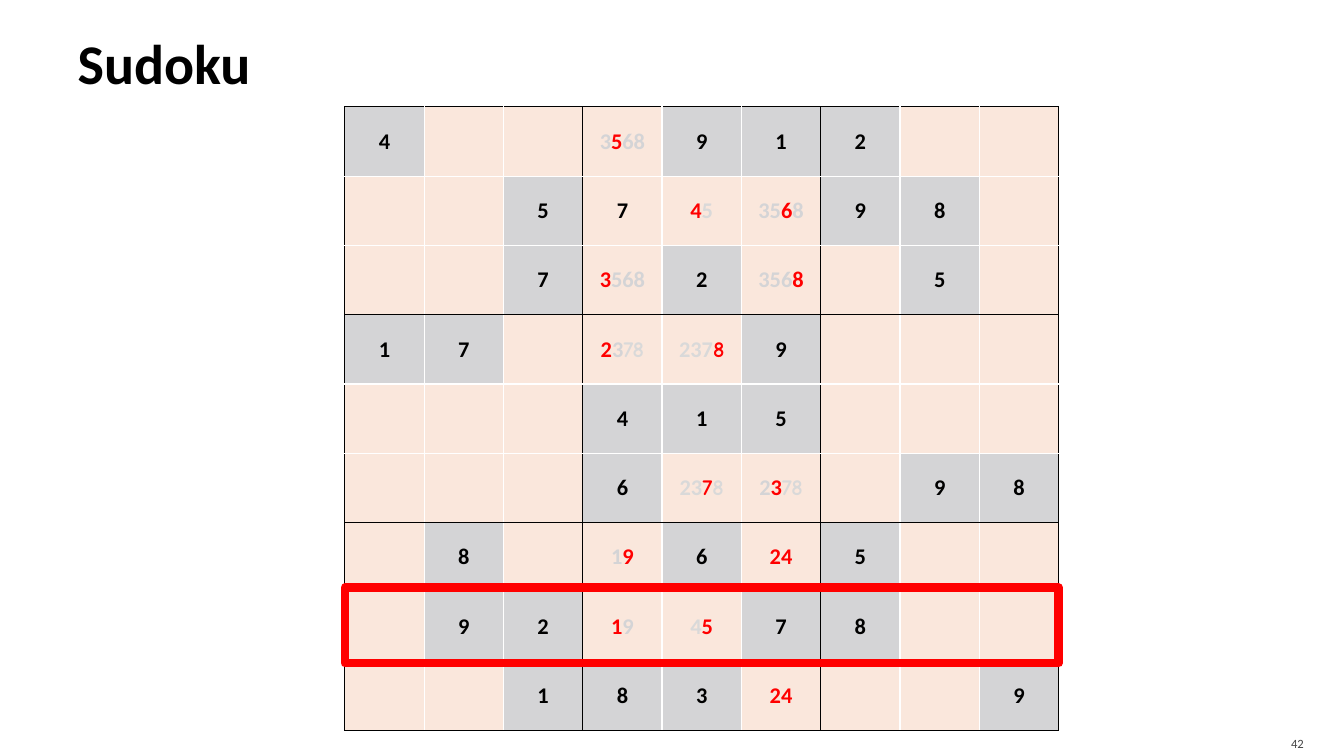
from lxml import etree
from pptx import Presentation
from pptx.dml.color import RGBColor
from pptx.enum.shapes import MSO_SHAPE
from pptx.enum.text import MSO_ANCHOR, PP_ALIGN
from pptx.oxml.ns import qn
from pptx.util import Inches, Pt

MIDDLE = MSO_ANCHOR.MIDDLE
LEFT, CENTER, RIGHT = PP_ALIGN.LEFT, PP_ALIGN.CENTER, PP_ALIGN.RIGHT

BLACK = RGBColor(0x00, 0x00, 0x00)
WHITE = RGBColor(0xFF, 0xFF, 0xFF)
RED = RGBColor(0xFF, 0x00, 0x00)
GREY = RGBColor(0xD4, 0xD4, 0xD6)
PALE_GREY = RGBColor(0xD9, 0xD9, 0xD9)
PEACH = RGBColor(0xFA, 0xE7, 0xDC)
DARK_GREY = RGBColor(0x45, 0x45, 0x45)

# Digit styles: letter in the grid -> font and colour
STYLES = {
    "k": ("Calibri", BLACK),
    "r": ("Calibri", RED),
    "g": ("Calibri", GREY),
    "p": ("Calibri", PALE_GREY),
    "R": ("Comic Neue", RED),
    "P": ("Comic Neue", PALE_GREY),
}
# One line per row; a dot is an empty cell, a plus joins styled runs
GRID = [
    "k4 . . g3+r5+g68 k9 k1 k2 . .",
    ". . k5 k7 r4+p5 g35+r6+g8 k9 k8 .",
    ". . k7 r3+g568 k2 g356+r8 . k5 .",
    "k1 k7 . r2+g3+P78 p237+R8 k9 . . .",
    ". . . k4 k1 k5 . . .",
    ". . . k6 p23+R7+P8 g2+r3+P78 . k9 k8",
    ". k8 . g1+r9 k6 r24 k5 . .",
    ". k9 k2 r1+g9 p4+r5 k7 k8 . .",
    ". . k1 k8 k3 r24 . . k9",
]
DEDUCED = (1, 3)  # black digit that was not given
SIZE = 9
BOARD_LEFT, BOARD_TOP = Inches(3.42), Inches(1.06)
BOARD_WIDTH, BOARD_HEIGHT = Inches(7.08), Inches(6.19)


def add_span(para, text, size, font, color, bold):
    span = para.add_run()
    span.text = text
    span.font.size = Pt(size)
    span.font.name = font
    span.font.color.rgb = color
    span.font.bold = bold


def set_borders(cell, colors):
    properties = cell._tc.get_or_add_tcPr()
    for index, (side, color) in enumerate(colors.items()):
        line = etree.Element(qn("a:ln" + side), w=str(Pt(1)))
        fill = etree.SubElement(line, qn("a:solidFill"))
        etree.SubElement(fill, qn("a:srgbClr"), val=str(color))
        properties.insert(index, line)


deck = Presentation()
deck.slide_width, deck.slide_height = Inches(13.33), Inches(7.5)
page = deck.slides.add_slide(deck.slide_layouts[5])

# Title
title = page.shapes.title
title.left, title.top = Inches(0.67), Inches(0.08)
title.width, title.height = Inches(12), Inches(1.08)
frame = title.text_frame
frame.vertical_anchor = MIDDLE
frame.margin_left = Inches(0.1)
frame.margin_top = frame.margin_right = frame.margin_bottom = Inches(0.05)
frame.paragraphs[0].alignment = LEFT
add_span(frame.paragraphs[0], "Sudoku", 40, "Calibri", BLACK, True)

# Page number
number = page.shapes.add_textbox(Inches(11.96), Inches(7.2), Inches(1.07), Inches(0.3))
frame = number.text_frame
frame.word_wrap = True
frame.vertical_anchor = MIDDLE
frame.margin_bottom = 0
frame.paragraphs[0].alignment = RIGHT
add_span(frame.paragraphs[0], "42", 9, "Calibri", DARK_GREY, False)

# Sudoku board
board = page.shapes.add_table(
    SIZE, SIZE, BOARD_LEFT, BOARD_TOP, BOARD_WIDTH, BOARD_HEIGHT).table
board.first_row = board.horz_banding = False
for column in board.columns:
    column.width = int(BOARD_WIDTH / SIZE)
for row in board.rows:
    row.height = int(BOARD_HEIGHT / SIZE)

for r, line in enumerate(GRID):
    for c, entry in enumerate(line.split()):
        cell = board.cell(r, c)
        cell.vertical_anchor = MIDDLE
        given = entry.startswith("k") and (r, c) != DEDUCED
        cell.fill.solid()
        cell.fill.fore_color.rgb = GREY if given else PEACH
        # Black around each 3 by 3 block, white inside it
        set_borders(cell, {
            "L": BLACK if c % 3 == 0 else WHITE,
            "R": BLACK if c % 3 == 2 else WHITE,
            "T": BLACK if r % 3 == 0 else WHITE,
            "B": BLACK if r % 3 == 2 else WHITE,
        })
        if entry == ".":
            continue
        para = cell.text_frame.paragraphs[0]
        para.alignment = CENTER
        for piece in entry.split("+"):
            font, color = STYLES[piece[0]]
            add_span(para, piece[1:], 16, font, color, True)

# Highlight around the eighth row
highlight = page.shapes.add_shape(
    MSO_SHAPE.RECTANGLE, BOARD_LEFT, Inches(5.83), BOARD_WIDTH, Inches(0.75))
highlight.shadow.inherit = False
highlight.fill.background()
highlight.line.color.rgb = RED
highlight.line.width = Pt(6)

deck.save("out.pptx")
